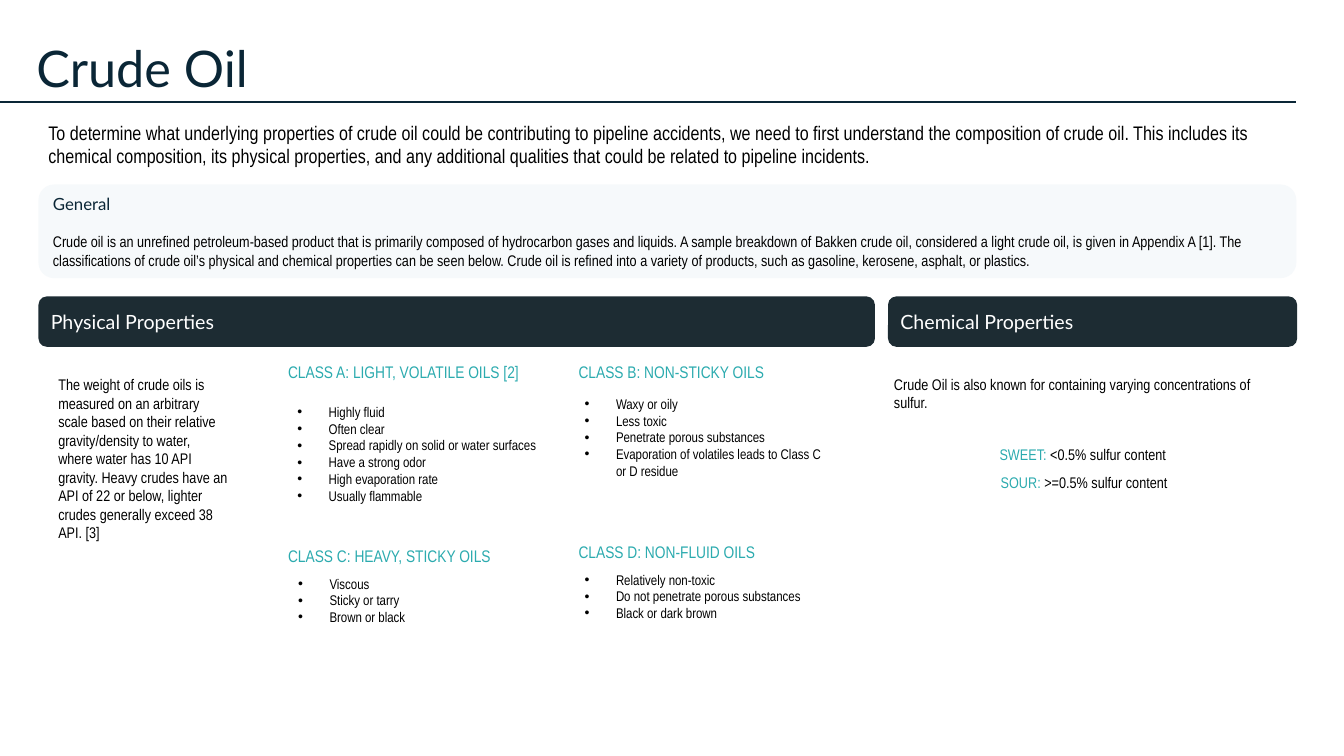
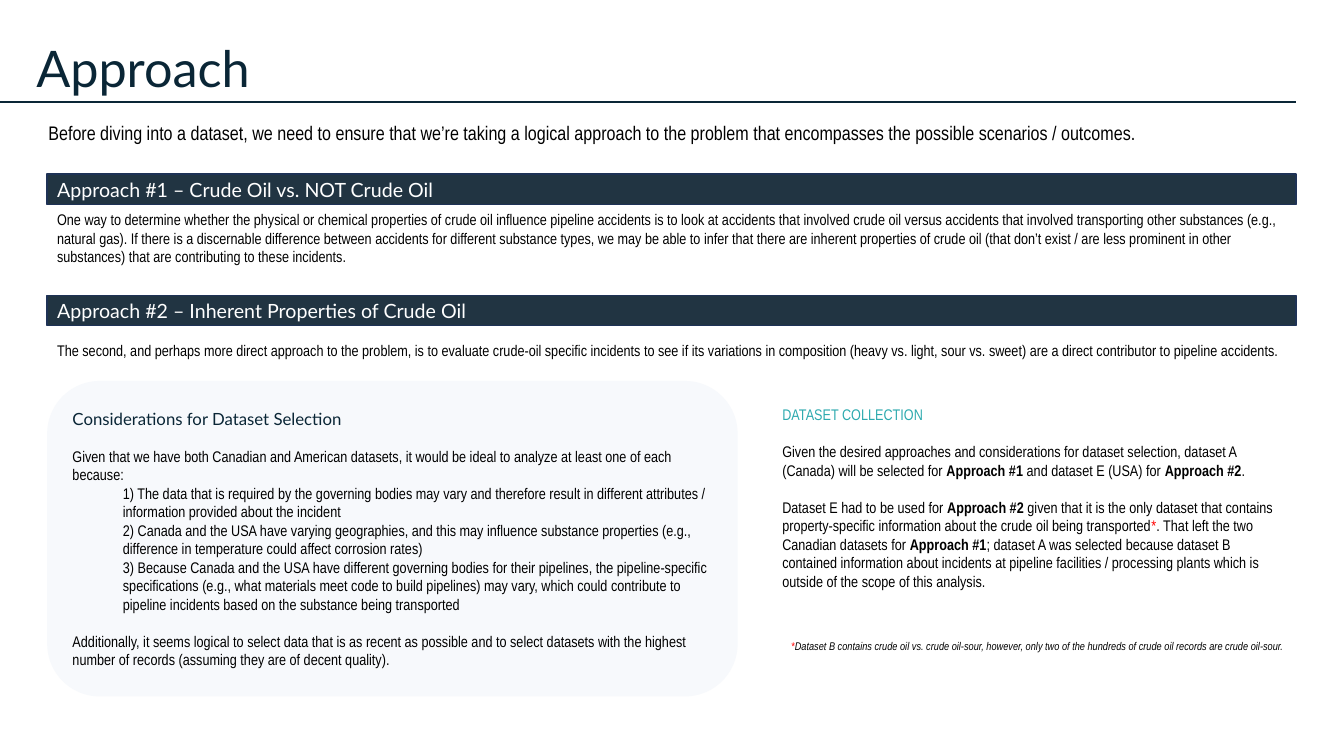
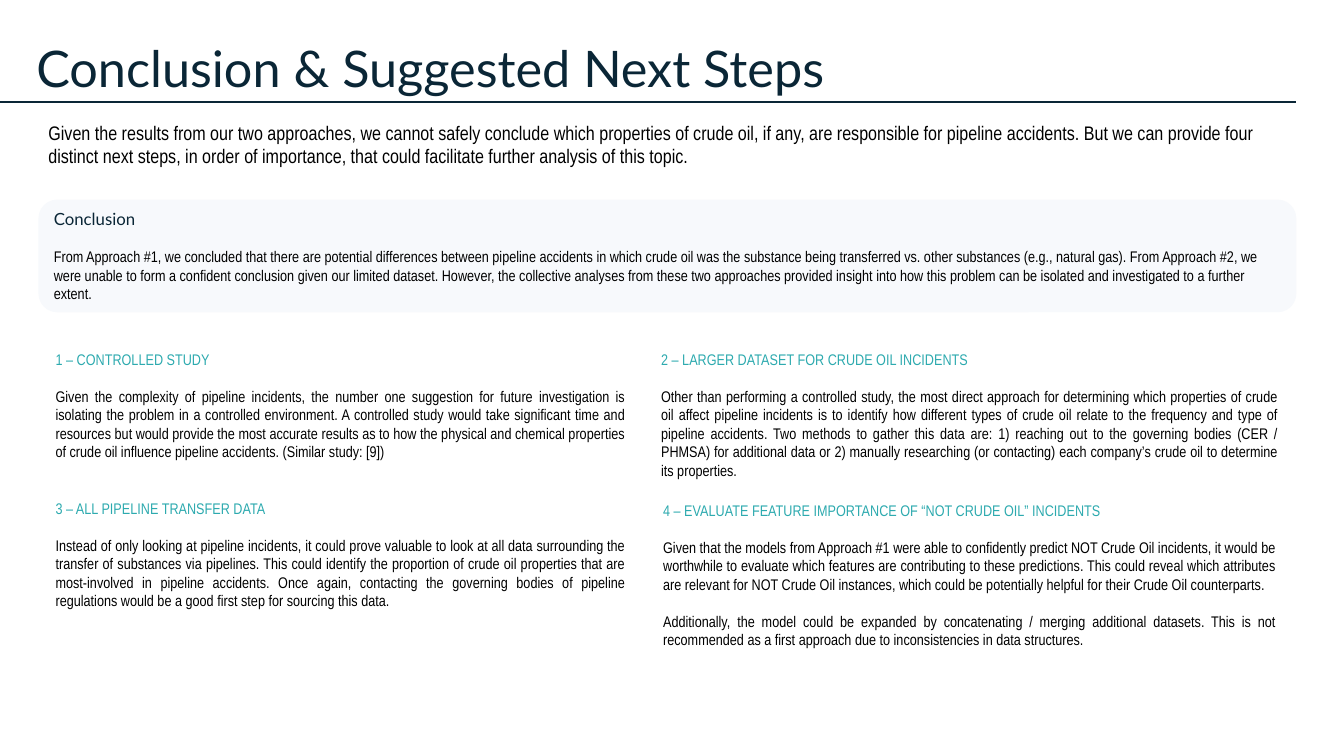
import dataclasses
import typing

import pptx
import pptx.dml.color
import pptx.enum.shapes
import pptx.enum.text
import pptx.oxml
import pptx.oxml.ns
import pptx.util
from pptx.util import Cm

ANCHOR = pptx.enum.text.MSO_ANCHOR
ALIGN = pptx.enum.text.PP_ALIGN
SHAPE = pptx.enum.shapes.MSO_SHAPE
TITLE_ONLY, COMPARISON = 5, 4


@dataclasses.dataclass(frozen=True)
class TextStyle:
    font: str
    size: int
    color: str
    bold: bool = False
    italic: bool = False


@dataclasses.dataclass(frozen=True)
class Theme:
    ink: str = "0A2636"
    header: str = "1D2C33"
    bar: str = "213442"
    bar_line: str = "1E3256"
    pale_blue: str = "F6F9FB"
    pale_lilac: str = "F7F9FC"
    teal: str = "2CABAF"
    red: str = "FF0000"
    title: TextStyle = TextStyle("Lato", 36, "0A2636")
    band: TextStyle = TextStyle("Lato", 14, "FFFFFF")
    panel_heading: TextStyle = TextStyle("Lato", 12, "0A2636")
    intro: TextStyle = TextStyle("Arial Narrow", 14, "000000")
    class_heading: TextStyle = TextStyle("Arial Narrow", 12, "2CABAF")
    topic: TextStyle = TextStyle("Arial Narrow", 11, "2DAAAF")
    body: TextStyle = TextStyle("Arial Narrow", 11, "000000")
    bullet: TextStyle = TextStyle("Arial Narrow", 10, "000000")
    note: TextStyle = TextStyle("Arial Narrow", 8, "000000", italic=True)
    gap: float = 13.2


THEME = Theme()


@dataclasses.dataclass
class Paragraph:
    """Text is a string, or a list of strings and (string, style changes) pairs."""
    text: typing.Any
    style: TextStyle = THEME.body
    before: float = 0
    indent: float = 0
    bullet: bool = False


def rgb(color):
    return pptx.dml.color.RGBColor.from_string(color)


class Deck:
    def __init__(self, theme):
        self.theme = theme
        self.presentation = pptx.Presentation()
        self.presentation.slide_width = Cm(33.87)
        self.presentation.slide_height = Cm(19.05)
        self.slide = None

    def new_slide(self, title, intro, layout=TITLE_ONLY):
        """Start a slide with its title, the rule below it and the introduction."""
        self.slide = self.presentation.slides.add_slide(
            self.presentation.slide_layouts[layout])
        self.place(self.slide.shapes.title, (0.66, 0.84, 32, 1.73))
        self.set_text(self.slide.shapes.title, [Paragraph(title, self.theme.title)])
        rule = self.slide.shapes.add_connector(
            pptx.enum.shapes.MSO_CONNECTOR.STRAIGHT,
            Cm(0), Cm(2.57), Cm(32.66), Cm(2.57))
        rule.line.color.rgb = rgb(self.theme.ink)
        rule.line.width = pptx.util.Pt(1)
        rule._element.spPr.append(pptx.oxml.parse_xml(
            f"<a:effectLst {pptx.oxml.ns.nsdecls('a')}/>"))
        self.text((0.97, 2.92, 31.7, 1.45), intro, self.theme.intro, ANCHOR.TOP)

    def place(self, shape, box):
        shape.left, shape.top, shape.width, shape.height = map(Cm, box)

    def set_text(self, shape, paragraphs, anchor=ANCHOR.MIDDLE, align=ALIGN.LEFT):
        frame = shape.text_frame
        frame.word_wrap = True
        frame.auto_size = pptx.enum.text.MSO_AUTO_SIZE.NONE
        frame.vertical_anchor = anchor
        for index, content in enumerate(paragraphs):
            paragraph = frame.paragraphs[0] if index == 0 else frame.add_paragraph()
            paragraph.alignment = align
            paragraph.space_before = pptx.util.Pt(content.before)
            self.indent(paragraph, content)
            pieces = [content.text] if isinstance(content.text, str) else content.text
            for piece in pieces:
                text, changes = (piece, {}) if isinstance(piece, str) else piece
                run = paragraph.add_run()
                run.text = text
                self.style_font(run.font, dataclasses.replace(content.style, **changes))

    def indent(self, paragraph, content):
        properties = paragraph._p.get_or_add_pPr()
        if content.indent:
            properties.set("marL", str(Cm(content.indent)))
        if content.bullet:
            properties.set("indent", str(-Cm(content.indent)))
            for tag in ('buFont typeface="Arial"', 'buChar char="•"'):
                properties.append(pptx.oxml.parse_xml(
                    f"<a:{tag} {pptx.oxml.ns.nsdecls('a')}/>"))

    def style_font(self, font, style):
        font.name = style.font
        font.size = pptx.util.Pt(style.size)
        font.bold = style.bold
        font.italic = style.italic
        font.color.rgb = rgb(style.color)

    def text(self, box, text, style=THEME.body, anchor=ANCHOR.MIDDLE):
        shape = self.slide.shapes.add_textbox(*map(Cm, box))
        self.set_text(shape, [Paragraph(text, style)], anchor)

    def bullets(self, placeholder, box, items):
        self.place(placeholder, box)
        self.set_text(placeholder, [
            Paragraph(item, self.theme.bullet, indent=0.79, bullet=True) for item in items])

    def panel(self, box, paragraphs, fill=None, line=None, kind=SHAPE.ROUNDED_RECTANGLE,
              anchor=ANCHOR.MIDDLE, align=ALIGN.LEFT):
        shape = self.slide.shapes.add_shape(kind, *map(Cm, box))
        shape.shadow.inherit = False
        if fill:
            shape.fill.solid()
            shape.fill.fore_color.rgb = rgb(fill)
        else:
            shape.fill.background()
        if line:
            shape.line.color.rgb = rgb(line)
            shape.line.width = pptx.util.Pt(1)
        else:
            shape.line.fill.background()
        self.set_text(shape, paragraphs, anchor, align)

    def header(self, box, text):
        self.panel(box, [Paragraph(text, self.theme.band)], self.theme.header)

    def bar(self, top, text):
        self.panel((1.19, top, 31.47, 0.76), [Paragraph(text, self.theme.band)],
                   self.theme.bar, self.theme.bar_line, SHAPE.RECTANGLE)

    def topic(self, box, heading, texts, align=ALIGN.LEFT):
        """Place an unfilled panel with a teal heading above spaced paragraphs."""
        paragraphs = [Paragraph(heading, self.theme.topic)]
        paragraphs += [Paragraph(text, before=self.theme.gap) for text in texts]
        self.panel(box, paragraphs, anchor=ANCHOR.TOP, align=align)


def crude_oil(deck):
    theme = deck.theme
    deck.new_slide(
        "Crude Oil",
        "To determine what underlying properties of crude oil could be contributing to "
        "pipeline accidents, we need to first understand the composition of crude oil. This "
        "includes its chemical composition, its physical properties, and any additional "
        "qualities that could be related to pipeline incidents.", COMPARISON)
    deck.panel((0.97, 4.65, 31.7, 2.36), [
        Paragraph("General", theme.panel_heading),
        Paragraph(
            "Crude oil is an unrefined petroleum-based product that is primarily composed of "
            "hydrocarbon gases and liquids. A sample breakdown of Bakken crude oil, considered "
            "a light crude oil, is given in Appendix A [1]. The classifications of crude oil’s "
            "physical and chemical properties can be seen below. Crude oil is refined into a "
            "variety of products, such as gasoline, kerosene, asphalt, or plastics.",
            before=theme.gap),
    ], theme.pale_blue)
    deck.header((0.97, 7.47, 21.08, 1.27), "Physical Properties")
    deck.header((22.38, 7.47, 10.31, 1.27), "Chemical Properties")
    deck.text(
        (1.22, 9.09, 4.78, 4.93),
        "The weight of crude oils is measured on an arbitrary scale based on their relative "
        "gravity/density to water, where water has 10 API gravity. Heavy crudes have an API of "
        "22 or below, lighter crudes generally exceed 38 API. [3]")

    oil_classes = [
        ("CLASS A: LIGHT, VOLATILE OILS [2]", (7.01, 9.09), (7.24, 9.68, 6.53, 3.51),
         ["Highly fluid", "Often clear", "Spread rapidly on solid or water surfaces",
          "Have a strong odor", "High evaporation rate", "Usually flammable"]),
        ("CLASS B: NON-STICKY OILS", (14.33, 9.09), (14.48, 9.8, 6.53, 2.44),
         ["Waxy or oily", "Less toxic", "Penetrate porous substances",
          "Evaporation of volatiles leads to Class C or D residue"]),
        ("CLASS C: HEAVY, STICKY OILS", (7.01, 13.72), (7.26, 14.45, 6.53, 1.35),
         ["Viscous", "Sticky or tarry", "Brown or black"]),
        ("CLASS D: NON-FLUID OILS", (14.33, 13.61), (14.48, 14.25, 6.53, 1.55),
         ["Relatively non-toxic", "Do not penetrate porous substances",
          "Black or dark brown"]),
    ]
    list_placeholders = list(deck.slide.placeholders)[1:5]
    for placeholder, (heading, corner, box, items) in zip(list_placeholders, oil_classes):
        deck.text((*corner, 6.76, 0.58), heading, theme.class_heading)
        deck.bullets(placeholder, box, items)

    deck.text((22.28, 9.09, 10.31, 1.65),
              "Crude Oil is also known for containing varying concentrations of sulfur.")
    for left, top, label, content in [
            (24.94, 11.05, "SWEET: ", "<0.5% sulfur content"),
            (24.97, 11.76, "SOUR: ", ">=0.5% sulfur content")]:
        deck.text((left, top, 5.44, 0.79), [(label, {"color": theme.teal}), content])


def approach(deck):
    theme = deck.theme
    bold = {"bold": True}
    deck.new_slide(
        "Approach",
        "Before diving into a dataset, we need to ensure that we’re taking a logical approach "
        "to the problem that encompasses the possible scenarios / outcomes.")
    deck.bar(4.39, "Approach #1 – Crude Oil vs. NOT Crude Oil")
    deck.text(
        (1.19, 5.16, 31.47, 1.68),
        "One way to determine whether the physical or chemical properties of crude oil "
        "influence pipeline accidents is to look at accidents that involved crude oil versus "
        "accidents that involved transporting other substances (e.g., natural gas). If there "
        "is a discernable difference between accidents for different substance types, we may "
        "be able to infer that there are inherent properties of crude oil (that don’t exist / "
        "are less prominent in other substances) that are contributing to these incidents.")
    deck.bar(7.44, "Approach #2 – Inherent Properties of Crude Oil")
    deck.text(
        (1.19, 8.2, 31.47, 1.27),
        "The second, and perhaps more direct approach to the problem, is to evaluate crude-oil "
        "specific incidents to see if its variations in composition (heavy vs. light, sour vs. "
        "sweet) are a direct contributor to pipeline accidents.")

    reasons = [
        "1) The data that is required by the governing bodies may vary and therefore result in "
        "different attributes / information provided about the incident",
        "2) Canada and the USA have varying geographies, and this may influence substance "
        "properties (e.g., difference in temperature could affect corrosion rates)",
        "3) Because Canada and the USA have different governing bodies for their pipelines, the "
        "pipeline-specific specifications (e.g., what materials meet code to build pipelines) "
        "may vary, which could contribute to pipeline incidents based on the substance being "
        "transported",
    ]
    deck.panel((1.19, 9.6, 17.4, 7.95), [
        Paragraph("Considerations for Dataset Selection", theme.panel_heading),
        Paragraph("Given that we have both Canadian and American datasets, it would be ideal to "
                  "analyze at least one of each because:", before=theme.gap),
        *[Paragraph(reason, indent=1.27) for reason in reasons],
        Paragraph("Additionally, it seems logical to select data that is as recent as possible "
                  "and to select datasets with the highest number of records (assuming they are "
                  "of decent quality).", before=theme.gap),
    ], theme.pale_lilac)
    deck.topic((19.18, 9.8, 13.49, 5.87), "DATASET COLLECTION", [
        ["Given the desired approaches and considerations for dataset selection, dataset A "
         "(Canada) will be selected for ", ("Approach #1 ", bold),
         "and dataset E (USA) for ", ("Approach #2", bold), "."],
        ["Dataset E had to be used for ", ("Approach #2 ", bold),
         "given that it is the only dataset that contains property-specific information about "
         "the crude oil being transported", ("*", {"color": theme.red}),
         ". That left the two Canadian datasets for ", ("Approach #1", bold),
         "; dataset A was selected because dataset B contained information about incidents at "
         "pipeline facilities / processing plants which is outside of the scope of this "
         "analysis."],
    ])
    deck.text((19.69, 15.93, 12.97, 0.69), [
        ("*", {"color": theme.red}),
        "Dataset B contains crude oil vs. crude oil-sour, however, only two of the hundreds of "
        "crude oil records are crude oil-sour."], theme.note)


def conclusion(deck):
    theme = deck.theme
    deck.new_slide(
        "Conclusion & Suggested Next Steps",
        "Given the results from our two approaches, we cannot safely conclude which properties "
        "of crude oil, if any, are responsible for pipeline accidents. But we can provide four "
        "distinct next steps, in order of importance, that could facilitate further analysis of "
        "this topic.")
    deck.panel((0.97, 5.03, 31.7, 2.84), [
        Paragraph("Conclusion", theme.panel_heading),
        Paragraph(
            "From Approach #1, we concluded that there are potential differences between "
            "pipeline accidents in which crude oil was the substance being transferred vs. other "
            "substances (e.g., natural gas). From Approach #2, we were unable to form a "
            "confident conclusion given our limited dataset. However, the collective analyses "
            "from these two approaches provided insight into how this problem can be isolated "
            "and investigated to a further extent.", before=theme.gap),
    ], theme.pale_lilac)

    steps = [
        ("1 – CONTROLLED STUDY", 3.73, [
            "Given the complexity of pipeline incidents, the number one suggestion for future "
            "investigation is isolating the problem in a controlled environment. A controlled "
            "study would take significant time and resources but would provide the most accurate "
            "results as to how the physical and chemical properties of crude oil influence "
            "pipeline accidents. (Similar study: [9])"]),
        ("2 – LARGER DATASET FOR CRUDE OIL INCIDENTS", 3.73, [
            "Other than performing a controlled study, the most direct approach for determining "
            "which properties of crude oil affect pipeline incidents is to identify how "
            "different types of crude oil relate to the frequency and type of pipeline "
            "accidents. Two methods to gather this data are: 1) reaching out to the governing "
            "bodies (CER / PHMSA) for additional data or 2) manually researching (or contacting) "
            "each company’s crude oil to determine its properties."]),
        ("3 – ALL PIPELINE TRANSFER DATA", 3.73, [
            "Instead of only looking at pipeline incidents, it could prove valuable to look at "
            "all data surrounding the transfer of substances via pipelines. This could identify "
            "the proportion of crude oil properties that are most-involved in pipeline "
            "accidents. Once again, contacting the governing bodies of pipeline regulations "
            "would be a good first step for sourcing this data."]),
        ("4 – EVALUATE FEATURE IMPORTANCE OF “NOT CRUDE OIL” INCIDENTS", 4.78, [
            "Given that the models from Approach #1 were able to confidently predict NOT Crude "
            "Oil incidents, it would be worthwhile to evaluate which features are contributing "
            "to these predictions. This could reveal which attributes are relevant for NOT Crude "
            "Oil instances, which could be potentially helpful for their Crude Oil counterparts.",
            "Additionally, the model could be expanded by concatenating / merging additional "
            "datasets. This is not recommended as a first approach due to inconsistencies in "
            "data structures."]),
    ]
    columns = [(0.97, 15.24), (16.23, 16.43)]
    for index, (heading, height, texts) in enumerate(steps):
        row, column = divmod(index, 2)
        left, width = columns[column]
        deck.topic((left, 8.51 + 3.76 * row, width, height), heading, texts, ALIGN.JUSTIFY)


def main():
    deck = Deck(THEME)
    crude_oil(deck)
    approach(deck)
    conclusion(deck)
    deck.presentation.save("out.pptx")


if __name__ == "__main__":
    main()
